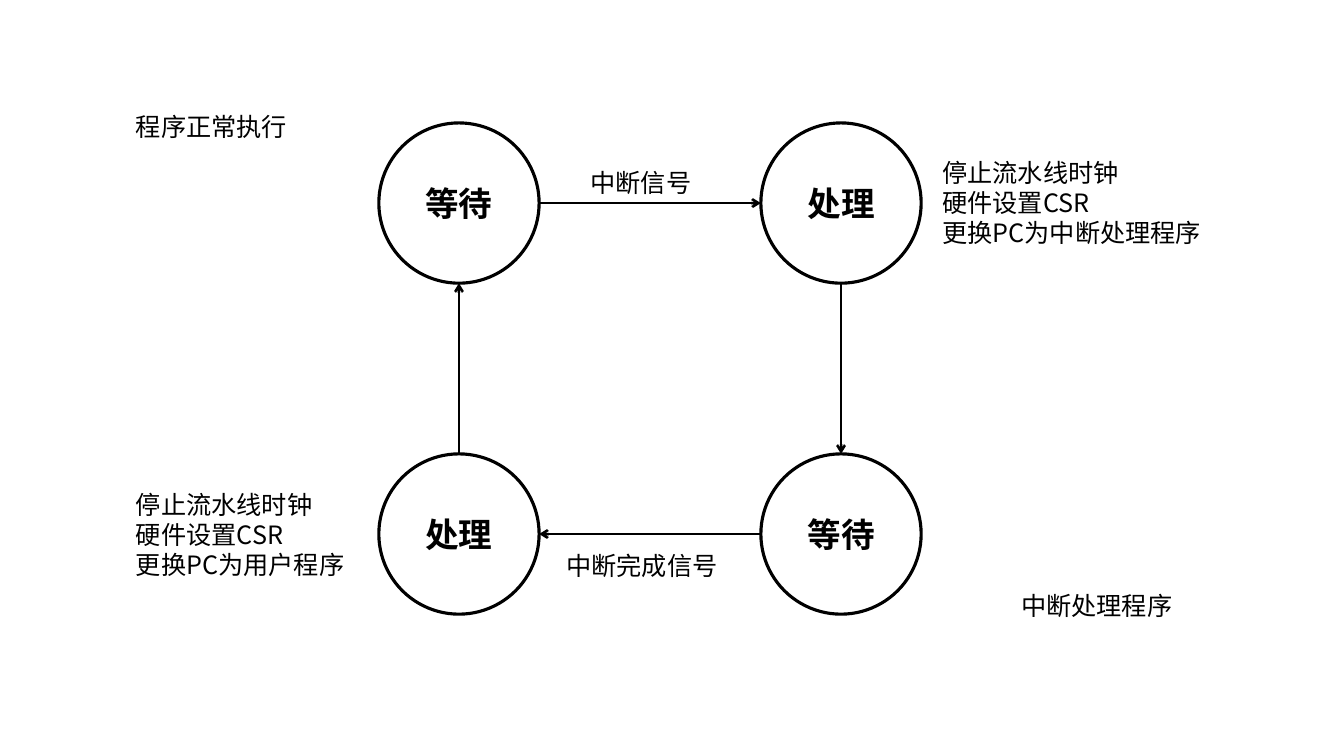
import lxml.etree
import pptx
import pptx.dml.color
import pptx.enum.shapes
import pptx.enum.text
import pptx.oxml.ns
import pptx.util

Pt = pptx.util.Pt
qn = pptx.oxml.ns.qn

COLORS = {"ink": "000000", "paper": "FFFFFF"}
CJK_FONT = "Noto Sans CJK SC"
NOTE_FORMAT = {"name": CJK_FONT, "size": Pt(18), "bold": False}
STATE_FORMAT = {"name": "Calibri", "size": Pt(24), "bold": True}

DIAMETER = 114.5
LEFT, RIGHT = 270.6, 543.5
TOP, BOTTOM = 87.8, 324.2


class StateDiagram:
    """Draws the states, transitions and notes of one slide."""

    def __init__(self, slide):
        self.slide = slide

    def color(self, name):
        return pptx.dml.color.RGBColor.from_string(COLORS[name])

    def fill_text(self, frame, lines, text_format, frame_format):
        for key, value in frame_format.items():
            setattr(frame, key, value)
        frame.text = "\n".join(lines)
        for paragraph in frame.paragraphs:
            for run in paragraph.runs:
                for key, value in text_format.items():
                    setattr(run.font, key, value)
                run.font.color.rgb = self.color("ink")
                east_asian = lxml.etree.Element(qn("a:ea"), typeface=CJK_FONT)
                run.font._element.find(qn("a:latin")).addnext(east_asian)

    def state(self, left, top, label):
        circle = self.slide.shapes.add_shape(
            pptx.enum.shapes.MSO_SHAPE.OVAL, Pt(left), Pt(top), Pt(DIAMETER), Pt(DIAMETER))
        circle.shadow.inherit = False
        circle.fill.solid()
        circle.fill.fore_color.rgb = self.color("paper")
        circle.line.color.rgb = self.color("ink")
        circle.line.width = Pt(2.25)
        self.fill_text(circle.text_frame, [label], STATE_FORMAT, {
            "word_wrap": True,
            "vertical_anchor": pptx.enum.text.MSO_ANCHOR.MIDDLE})
        circle.text_frame.paragraphs[0].alignment = pptx.enum.text.PP_ALIGN.CENTER

    def transition(self, start, end):
        arrow = self.slide.shapes.add_connector(
            pptx.enum.shapes.MSO_CONNECTOR.STRAIGHT, *map(Pt, start + end))
        arrow.line.color.rgb = self.color("ink")
        arrow.line.width = Pt(1.75)
        outline = arrow._element.spPr.find(qn("a:ln"))
        lxml.etree.SubElement(outline, qn("a:tailEnd"), type="arrow")
        lxml.etree.SubElement(arrow._element.spPr, qn("a:effectLst"))

    def note(self, left, top, width, lines):
        height = 7.2 + 21.8 * len(lines)
        box = self.slide.shapes.add_textbox(Pt(left), Pt(top), Pt(width), Pt(height))
        self.fill_text(box.text_frame, lines, NOTE_FORMAT, {
            "word_wrap": True,
            "auto_size": pptx.enum.text.MSO_AUTO_SIZE.SHAPE_TO_FIT_TEXT})


def main():
    deck = pptx.Presentation()
    deck.slide_width, deck.slide_height = Pt(960), Pt(540)
    diagram = StateDiagram(deck.slides.add_slide(deck.slide_layouts[6]))

    for left, top, label in [
        (LEFT, TOP, "等待"),
        (RIGHT, TOP, "处理"),
        (RIGHT, BOTTOM, "等待"),
        (LEFT, BOTTOM, "处理"),
    ]:
        diagram.state(left, top, label)

    radius = DIAMETER / 2
    for start, end in [
        ((LEFT + DIAMETER, TOP + radius), (RIGHT, TOP + radius)),
        ((RIGHT + radius, TOP + DIAMETER), (RIGHT + radius, BOTTOM)),
        ((RIGHT, BOTTOM + radius), (LEFT + DIAMETER, BOTTOM + radius)),
        ((LEFT + radius, BOTTOM), (LEFT + radius, TOP + DIAMETER)),
    ]:
        diagram.transition(start, end)

    hardware_steps = ["停止流水线时钟", "硬件设置CSR"]
    for left, top, width, lines in [
        (90, 76.3, 135.4, ["程序正常执行"]),
        (414.7, 115.9, 110.2, ["中断信号"]),
        (666, 108.7, 206.6, hardware_steps + ["更换PC为中断处理程序"]),
        (722.2, 418.3, 135.4, ["中断处理程序"]),
        (397.4, 389.5, 139, ["中断完成信号"]),
        (90, 345.6, 206.6, hardware_steps + ["更换PC为用户程序"]),
    ]:
        diagram.note(left, top, width, lines)

    deck.save("out.pptx")


if __name__ == "__main__":
    main()
